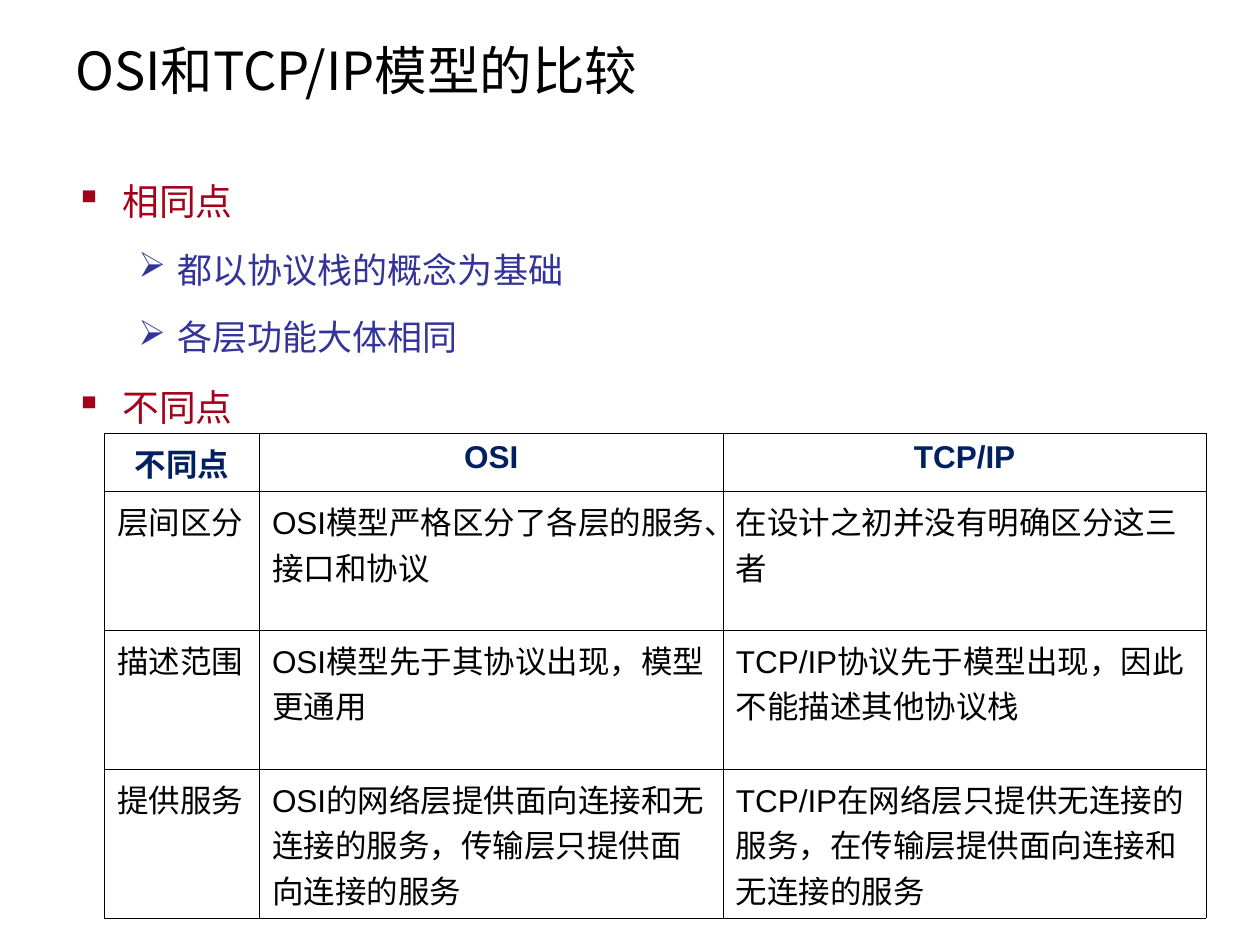
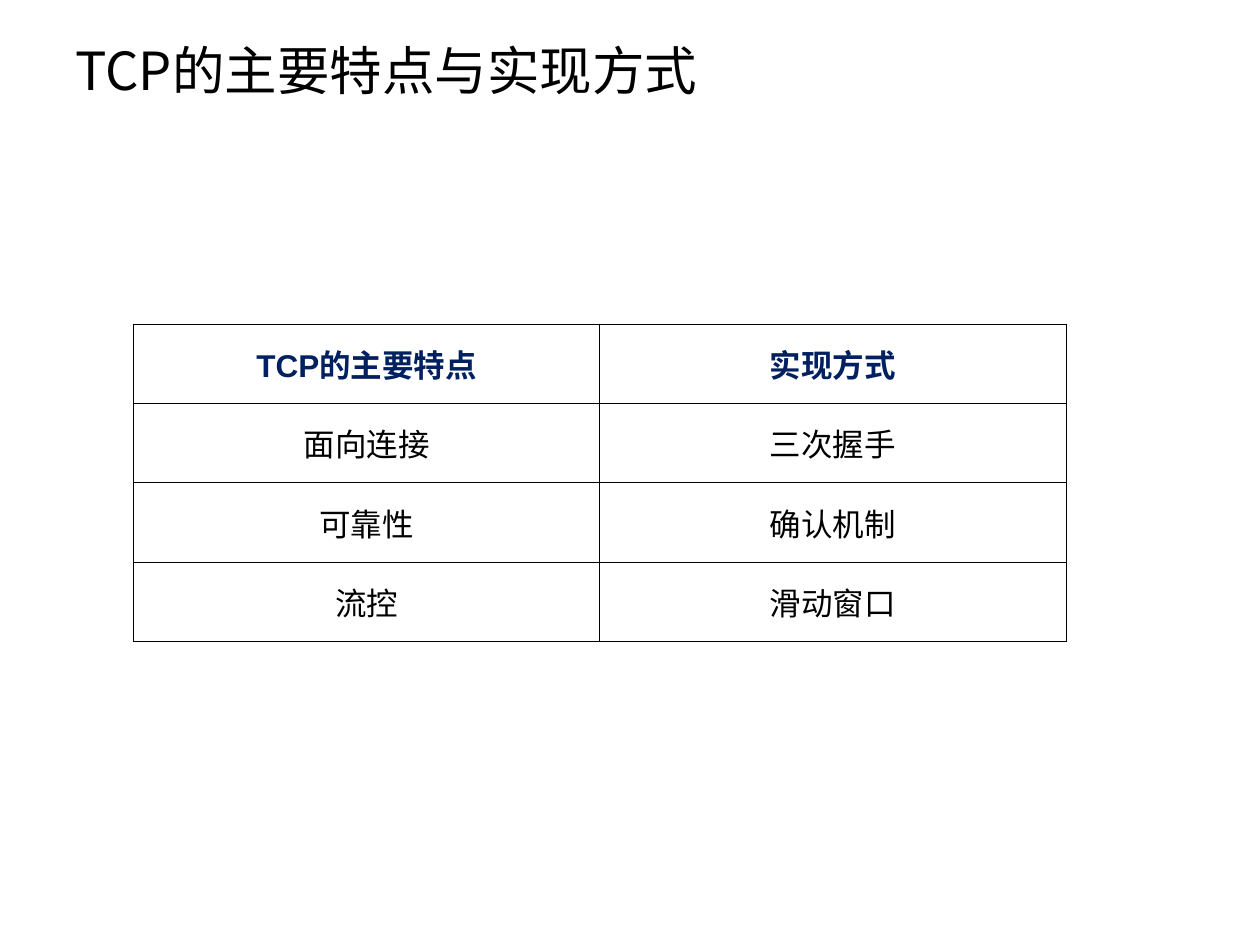
from lxml import etree
from pptx import Presentation
from pptx.dml.color import RGBColor
from pptx.enum.text import MSO_ANCHOR, PP_ALIGN
from pptx.oxml.ns import qn
from pptx.util import Cm, Pt

LEFT, CENTER = PP_ALIGN.LEFT, PP_ALIGN.CENTER
TOP, MIDDLE = MSO_ANCHOR.TOP, MSO_ANCHOR.MIDDLE

# Shared look
SANS, LATIN = "Noto Sans CJK SC", "Arial"
BLACK, WHITE, NAVY = "000000", "FFFFFF", "002060"
TITLE_BOX = (1.27, 0.33, 20.83, 2.16)
BODY_BOX = (1.27, 3.12, 23.04, 12.29)
BORDER = 0.45

# Outline levels: bullet, colour, size, space before, margin, hanging indent
LEVELS = [
    ("▪", "A4001B", 21, 5.2, 0.95, 0.95),
    ("➢", "333399", 20, 5, 2.06, 0.79),
]

# Content
SLIDES = [
    {
        "title": "OSI和TCP/IP模型的比较",
        "points": [
            (0, "相同点"),
            (1, "都以协议栈的概念为基础"),
            (1, "各层功能大体相同"),
            (0, "不同点"),
        ],
        "table": [
            ("不同点", "OSI", "TCP/IP"),
            ("层间区分", "OSI模型严格区分了各层的服务、接口和协议",
             "在设计之初并没有明确区分这三者"),
            ("描述范围", "OSI模型先于其协议出现，模型更通用",
             "TCP/IP协议先于模型出现，因此不能描述其他协议栈"),
            ("提供服务", "OSI的网络层提供面向连接和无连接的服务，传输层只提供面向连接的服务",
             "TCP/IP在网络层只提供无连接的服务，在传输层提供面向连接和无连接的服务"),
        ],
        "place": (2.11, 8.74),
        "cols": [3.12, 9.35, 9.73],
        "rows": [1.17, 2.8, 2.8, 3],
        "align": LEFT,
        "anchor": TOP,
    },
    {
        "title": "TCP的主要特点与实现方式",
        "points": [],
        "table": [
            ("TCP的主要特点", "实现方式"),
            ("面向连接", "三次握手"),
            ("可靠性", "确认机制"),
            ("流控", "滑动窗口"),
        ],
        "place": (2.69, 6.53),
        "cols": [9.4] * 2,
        "rows": [1.6] * 4,
        "align": CENTER,
        "anchor": MIDDLE,
    },
]


def rgb(code):
    return RGBColor.from_string(code)


def style(para, size, color, face=SANS, bold=False):
    font = para.font
    font.size, font.bold, font.name = Pt(size), bold, face
    font.color.rgb = rgb(color)
    props = para._p.get_or_add_pPr().find(qn("a:defRPr"))
    etree.SubElement(props, qn("a:ea"), typeface=SANS)


def add_box(slide, box, anchor):
    frame = slide.shapes.add_textbox(*map(Cm, box)).text_frame
    frame.word_wrap = True
    frame.vertical_anchor = anchor
    return frame


def add_title(slide, text):
    para = add_box(slide, TITLE_BOX, MIDDLE).paragraphs[0]
    para.text = text
    style(para, 30, BLACK)


def set_bullet(para, mark, color, margin, hang):
    props = para._p.get_or_add_pPr()
    props.set("marL", str(Cm(margin)))
    props.set("indent", str(-Cm(hang)))
    tint = etree.Element(qn("a:buClr"))
    etree.SubElement(tint, qn("a:srgbClr"), val=color)
    char = etree.Element(qn("a:buChar"), char=mark)
    font = props.find(qn("a:defRPr"))
    font.addprevious(tint)
    font.addprevious(char)


def add_points(slide, points):
    frame = add_box(slide, BODY_BOX, TOP)
    for i, (level, text) in enumerate(points):
        mark, color, size, space, margin, hang = LEVELS[level]
        para = frame.add_paragraph() if i else frame.paragraphs[0]
        para.text, para.level = text, level
        para.line_spacing, para.space_before = 1.4, Pt(space)
        style(para, size, color)
        set_bullet(para, mark, color, margin, hang)


def set_border(cell):
    props = cell._tc.get_or_add_tcPr()
    for i, side in enumerate(("lnL", "lnR", "lnT", "lnB")):
        line = etree.Element(qn(f"a:{side}"), w=str(Pt(BORDER)))
        fill = etree.SubElement(line, qn("a:solidFill"))
        etree.SubElement(fill, qn("a:srgbClr"), val=BLACK)
        props.insert(i, line)


def add_grid(slide, data):
    cols, rows = data["cols"], data["rows"]
    size = (*data["place"], sum(cols), sum(rows))
    table = slide.shapes.add_table(len(rows), len(cols), *map(Cm, size)).table
    table.first_row = table.horz_banding = False
    for col, width in zip(table.columns, cols):
        col.width = Cm(width)
    for row, height, texts in zip(table.rows, rows, data["table"]):
        row.height = Cm(height)
        head = texts is data["table"][0]
        for cell, text in zip(row.cells, texts):
            cell.text = text
            cell.vertical_anchor = data["anchor"]
            cell.fill.solid()
            cell.fill.fore_color.rgb = rgb(WHITE)
            set_border(cell)
            para = cell.text_frame.paragraphs[0]
            para.alignment = CENTER if head else data["align"]
            style(para, 18, NAVY if head else BLACK, LATIN, head)


def main():
    deck = Presentation()
    deck.slide_width, deck.slide_height = Cm(25.4), Cm(19.05)
    for data in SLIDES:
        slide = deck.slides.add_slide(deck.slide_layouts[6])
        add_title(slide, data["title"])
        if data["points"]:
            add_points(slide, data["points"])
        add_grid(slide, data)
    deck.save("out.pptx")


if __name__ == "__main__":
    main()
